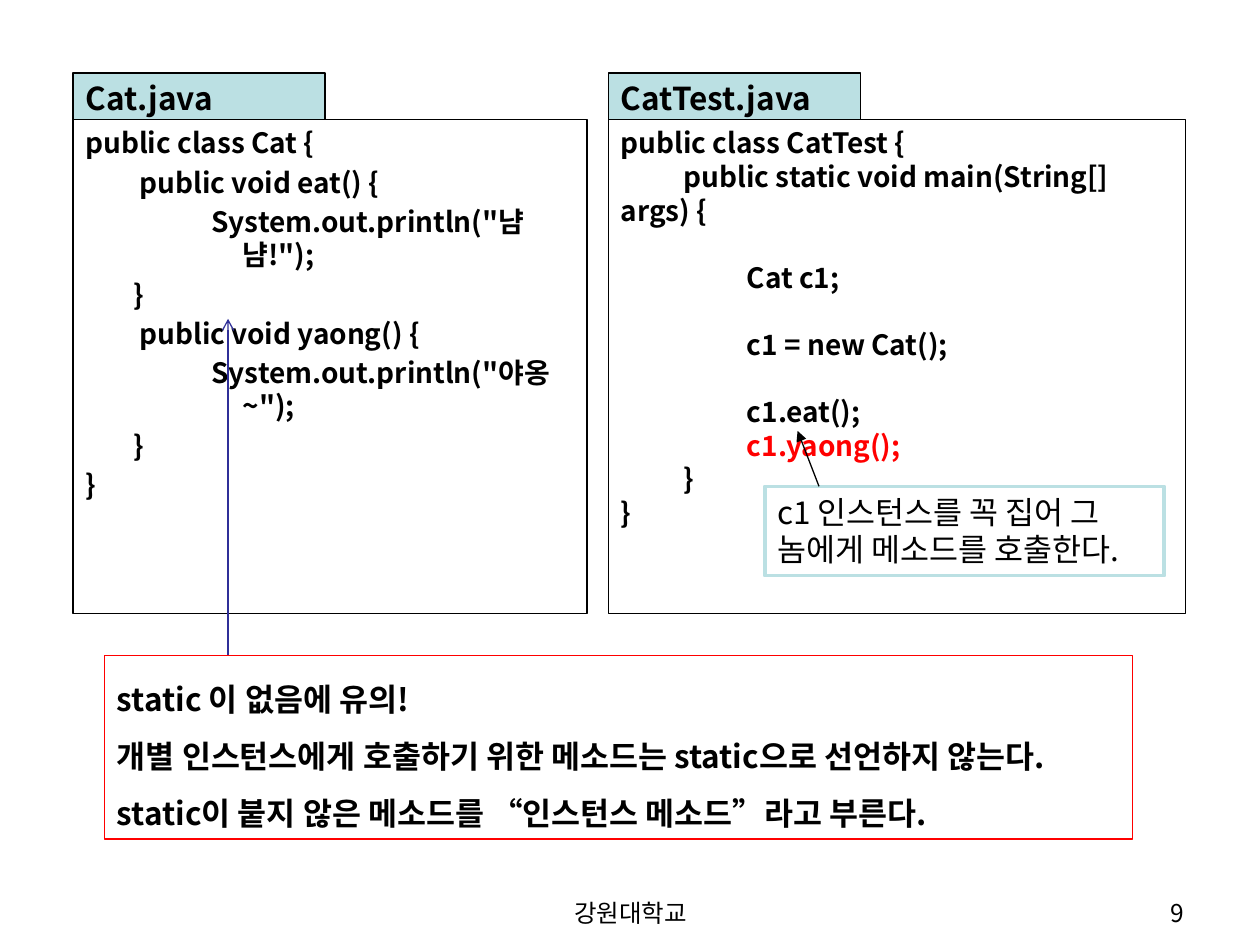
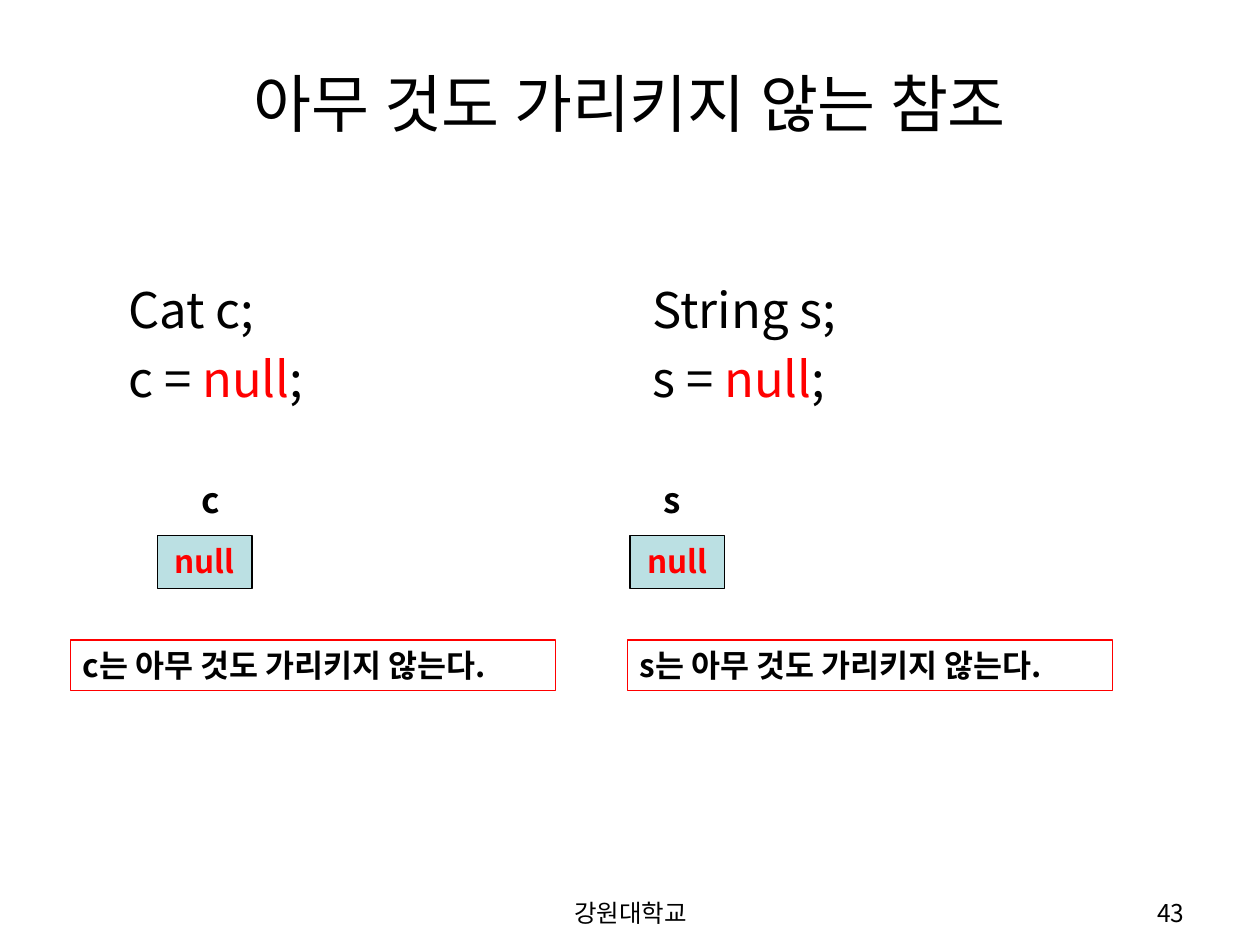
import dataclasses

import pptx
import pptx.dml.color
import pptx.enum.shapes
import pptx.enum.text
import pptx.oxml
import pptx.oxml.ns
import pptx.util

Inches, Pt = pptx.util.Inches, pptx.util.Pt
RGB = pptx.dml.color.RGBColor.from_string
ALIGN = pptx.enum.text.PP_ALIGN
ANCHOR = pptx.enum.text.MSO_ANCHOR


@dataclasses.dataclass(frozen=True)
class Theme:
    font: str = "Noto Sans CJK KR"
    black: str = "000000"
    white: str = "FFFFFF"
    red: str = "FF0000"
    pale: str = "BBE0E3"
    navy: str = "2F2F98"
    title: int = 36
    large: int = 28
    label: int = 20
    body: int = 18
    code: int = 16
    foot: int = 14
    thin: float = 0.75
    thick: float = 2
    pitch: float = 1.2


theme = Theme()


def write(slide, box, lines, size=theme.body, color=theme.black, bold=False,
          align=ALIGN.LEFT, anchor=ANCHOR.TOP, fill=None, line=None,
          width=theme.thin, pitch=theme.pitch, gap=0, tabs=(), hot=None):
    """Draw a box of text; a line is a string or (string, options).

    Options: gap (points before), left and hang (inches). The part of a
    line equal to hot is red. Pitch and gap are multiples of the type size.
    """
    shape = slide.shapes.add_shape(
        pptx.enum.shapes.MSO_SHAPE.RECTANGLE, *map(Inches, box))
    shape.shadow.inherit = False
    for part, tint in ((shape.fill, fill), (shape.line.fill, line)):
        if tint:
            part.solid()
            part.fore_color.rgb = RGB(tint)
        else:
            part.background()
    if line:
        shape.line.width = Pt(width)
    frame = shape.text_frame
    frame.word_wrap = True
    frame.vertical_anchor = anchor
    for row, item in enumerate(lines):
        text, opts = (item, {}) if isinstance(item, str) else item
        para = frame.paragraphs[0] if row == 0 else frame.add_paragraph()
        para.alignment = align
        para.line_spacing = Pt(pitch * size)
        if row:
            para.space_before = Pt(opts.get("gap", gap) * size)
        props = para._p.get_or_add_pPr()
        props.set("marL", str(Inches(opts.get("left", 0))))
        props.set("indent", str(Inches(-opts.get("hang", 0))))
        if tabs:
            stops = pptx.oxml.parse_xml(
                f'<a:tabLst {pptx.oxml.ns.nsdecls("a")}/>')
            for stop in tabs:
                stops.append(pptx.oxml.parse_xml(
                    f'<a:tab {pptx.oxml.ns.nsdecls("a")} '
                    f'pos="{Inches(stop)}" algn="l"/>'))
            props.append(stops)
        parts = text.partition(hot) if hot else (text,)
        for part in filter(None, parts):
            run = para.add_run()
            run.text = part
            font = run.font
            font.size, font.bold, font.name = Pt(size), bold, theme.font
            font.color.rgb = RGB(theme.red if part == hot else color)
            font._element.append(pptx.oxml.parse_xml(
                f'<a:ea {pptx.oxml.ns.nsdecls("a")} '
                f'typeface="{theme.font}"/>'))


def arrow(slide, start, end, color, head):
    link = slide.shapes.add_connector(
        pptx.enum.shapes.MSO_CONNECTOR.STRAIGHT, *map(Inches, start + end))
    link.line.color.rgb = RGB(color)
    link.line.width = Pt(theme.thin)
    link.line._get_or_add_ln().append(pptx.oxml.parse_xml(
        f'<a:tailEnd {pptx.oxml.ns.nsdecls("a")} type="{head}"/>'))
    link._element.spPr.append(pptx.oxml.parse_xml(
        f'<a:effectLst {pptx.oxml.ns.nsdecls("a")}/>'))


deck = pptx.Presentation()
deck.slide_width, deck.slide_height = Inches(10), Inches(7.5)
slides = []
for number in ("9", "43"):
    slide = deck.slides.add_slide(deck.slide_layouts[6])
    write(slide, (3.42, 7.08, 3.17, 0.27), ["강원대학교"],
          size=theme.foot, align=ALIGN.CENTER)
    write(slide, (7.17, 7.08, 2.33, 0.27), [number],
          size=theme.foot, align=ALIGN.RIGHT)
    slides.append(slide)
code, refs = slides

# Two source files and what to note in them
outer = {"left": 0.38, "hang": 0.38}
inner = {"left": 1.25, "hang": 0.25}
cat = [
    ("public class Cat {", outer),
    ("\t public void eat() {", outer),
    ('System.out.println("냠냠!");', inner),
    ("\t}", outer),
    ("\t public void yaong() {", outer),
    ('System.out.println("야옹~");', inner),
    ("\t}", outer),
    ("}", outer),
]
skip = {"gap": theme.pitch}
test = [
    "public class CatTest {",
    "\tpublic static void main(String[] args) {",
    ("\t\tCat c1;", skip),
    ("\t\tc1 = new Cat();", skip),
    ("\t\tc1.eat();", skip),
    "\t\tc1.yaong();",
    "\t}",
    "}",
]
files = [
    ("Cat.java", 0.58, 4.08, cat, {"gap": 0.2}),
    ("CatTest.java", 4.83, 4.58, test,
     {"tabs": (0.39, 0.79), "hot": "c1.yaong();"}),
]
for name, left, wide, lines, style in files:
    write(code, (left, 0.95, wide, 3.92), lines, size=theme.code,
          bold=True, line=theme.black, **style)
    write(code, (left, 0.58, 2, 0.37), [name], bold=True,
          fill=theme.pale, line=theme.black)

arrow(code, (1.81, 5.2), (1.81, 2.53), theme.navy, "arrow")
write(code, (0.83, 5.2, 8.16, 1.46), [
    "static 이 없음에 유의!",
    "개별 인스턴스에게 호출하기 위한 메소드는 static으로 선언하지 않는다.",
    "static이 붙지 않은 메소드를 “인스턴스 메소드”라고 부른다.",
], bold=True, line=theme.red, pitch=1.5 * theme.pitch)
write(code, (6.07, 3.86, 3.17, 0.71),
      ["c1 인스턴스를 꼭 집어 그 놈에게 메소드를 호출한다."],
      fill=theme.white, line=theme.pale, width=theme.thick)
arrow(code, (6.5, 3.86), (6.33, 3.42), theme.black, "triangle")

# Null references, one column per variable
write(refs, (0.5, 0.3, 9, 1.03), ["아무 것도 가리키지 않는 참조"],
      size=theme.title, align=ALIGN.CENTER, anchor=ANCHOR.MIDDLE)
columns = [
    ("Cat", "c", 0.92, 1.5, 1.25, 0.56),
    ("String", "s", 5.08, 5.17, 5, 4.98),
]
for kind, var, decl, label, cell, note in columns:
    write(refs, (decl, 2.17, 4.08, 1.33),
          [f"{kind} {var};", f"{var} = null;"],
          size=theme.large, gap=0.2, hot="null")
    write(refs, (label, 3.75, 0.36, 0.44), [var],
          size=theme.label, bold=True)
    write(refs, (cell, 4.25, 0.75, 0.42), ["null"], color=theme.red,
          bold=True, align=ALIGN.CENTER, fill=theme.pale, line=theme.black)
    write(refs, (note, 5.08, 3.85, 0.4),
          [f"{var}는 아무 것도 가리키지 않는다."], bold=True, line=theme.red)

deck.save("out.pptx")
